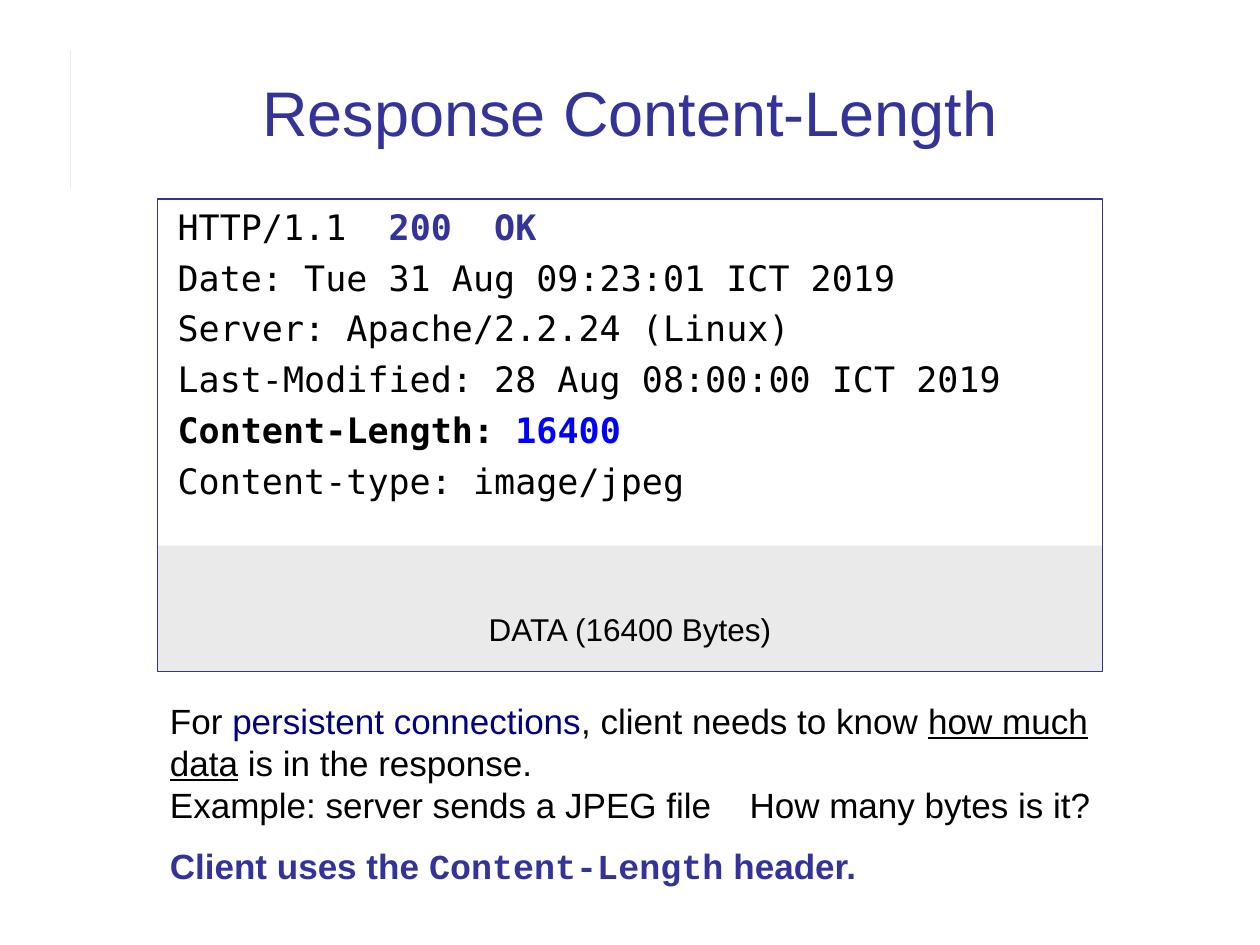
"""Build the slide on the Content-Length header of an HTTP response."""
from lxml import etree
from pptx import Presentation
from pptx.dml.color import RGBColor
from pptx.enum.shapes import MSO_CONNECTOR, MSO_SHAPE
from pptx.enum.text import MSO_ANCHOR, PP_ALIGN
from pptx.oxml.ns import qn
from pptx.util import Inches, Pt

RECT, STRAIGHT = MSO_SHAPE.RECTANGLE, MSO_CONNECTOR.STRAIGHT
LEFT, CENTER = PP_ALIGN.LEFT, PP_ALIGN.CENTER
TOP, BOTTOM = MSO_ANCHOR.TOP, MSO_ANCHOR.BOTTOM
SANS, MONO, COURIER = "Arial", "DejaVu Sans Mono", "Courier New"
BLACK, INDIGO, NAVY, BLUE = "000000", "333399", "000080", "0000FF"


def rgb(value):
    return RGBColor.from_string(value)


def write(sp, paragraphs, size, font, align=LEFT, anchor=TOP, before=0, pitch=None):
    tf = sp.text_frame
    tf.word_wrap = True
    tf.vertical_anchor = anchor
    for i, runs in enumerate(paragraphs):
        p = tf.add_paragraph() if i else tf.paragraphs[0]
        p.alignment = align
        p.space_before = Pt(before if i else 0)
        if pitch:
            p.line_spacing = Pt(pitch)
        p.font.size = Pt(size)
        for text, color, style, *face in runs:
            if text == "\n":
                p.add_line_break()
                continue
            r = p.add_run()
            r.text = text
            r.font.size = Pt(size)
            r.font.name = face[0] if face else font
            r.font.color.rgb = rgb(color)
            r.font.bold = style == "bold"
            r.font.underline = style == "underline"
    return tf


prs = Presentation()
prs.slide_width, prs.slide_height = Inches(10), Inches(7.5)
W, H = prs.slide_width, prs.slide_height
s = prs.slides.add_slide(prs.slide_layouts[6])
margin, width = W // 8, W * 3 // 4

rule = s.shapes.add_connector(STRAIGHT, Inches(0.56), Inches(0.4), Inches(0.56), Inches(1.49))
rule.line.color.rgb = rgb("EAEAEA")
rule.line.width = Pt(0.25)
etree.SubElement(rule._element.spPr, qn("a:effectLst"))

data = s.shapes.add_shape(RECT, margin, Inches(4.33), width, Inches(1))
data.shadow.inherit = False
data.fill.solid()
data.fill.fore_color.rgb = rgb("EAEAEA")
data.line.fill.background()
tf = write(data, [[("DATA (16400 Bytes)", BLACK, "")]], 18, SANS, CENTER, BOTTOM)
tf.margin_bottom = Inches(0.19)

title = s.shapes.add_textbox(W // 15, Inches(0.28), W * 13 // 15, Inches(0.95))
write(title, [[("Response Content-Length", INDIGO, "")]], 36, SANS, CENTER, BOTTOM)

header = [
    [("HTTP/1.1  ", BLACK, ""), ("200  OK", INDIGO, "bold")],
    [("Date: Tue 31 Aug 09:23:01 ICT 2019", BLACK, "")],
    [("Server: Apache/2.2.24 (Linux)", BLACK, "")],
    [("Last-Modified: 28 Aug 08:00:00 ICT 2019", BLACK, "")],
    [("Content-Length: ", BLACK, "bold"), ("16400", BLUE, "bold")],
    [("Content-type: image/jpeg", BLACK, "")],
]
response = s.shapes.add_shape(RECT, margin, Inches(1.58), width, H // 2)
response.shadow.inherit = False
response.fill.background()
response.line.color.rgb = rgb(INDIGO)
response.line.width = Pt(1)
tf = write(response, header, 20, MONO, before=5, pitch=24)
tf.margin_left = Inches(0.16)

explanation = [
    [
        ("For ", BLACK, ""),
        ("persistent connections", NAVY, ""),
        (", client needs to know ", BLACK, ""),
        ("how much data", BLACK, "underline"),
        (" is in the response.", BLACK, ""),
        ("\n", BLACK, ""),
        ("Example: server sends a JPEG file\tHow many bytes is it?", BLACK, ""),
    ],
    [
        ("Client uses the ", INDIGO, "bold"),
        ("Content-Length", INDIGO, "bold", COURIER),
        (" header.", INDIGO, "bold"),
    ],
]
note = s.shapes.add_textbox(margin, Inches(5.5), Inches(7.85), Inches(1.59))
tf = write(note, explanation, 20, SANS, before=11.2, pitch=24)
pPr = tf.paragraphs[0]._p.get_or_add_pPr()
tabs = etree.Element(qn("a:tabLst"))
etree.SubElement(tabs, qn("a:tab"), pos=str(Inches(4.6)), algn="l")
pPr.find(qn("a:defRPr")).addprevious(tabs)

prs.save("out.pptx")
